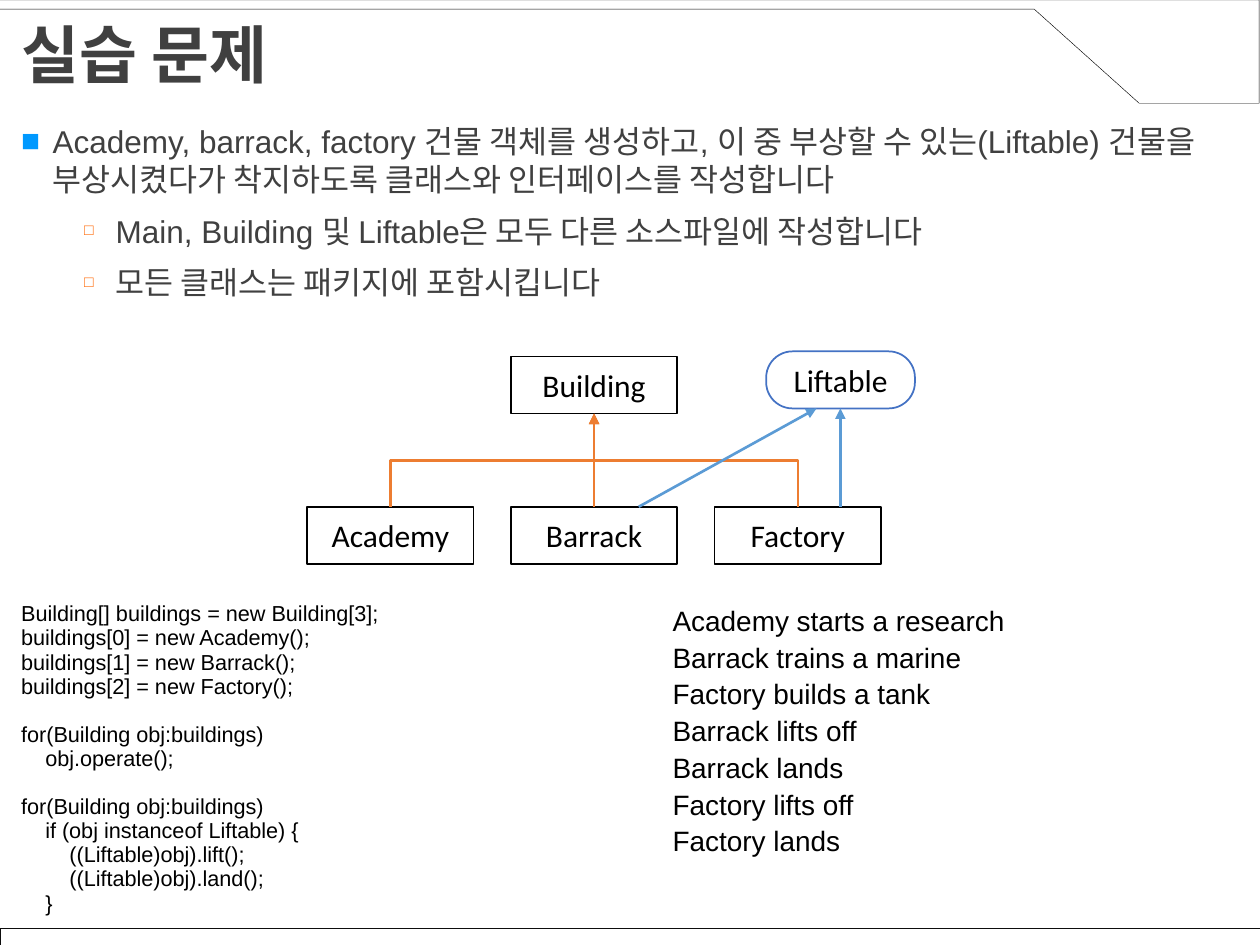
import pptx
import pptx.dml.color
import pptx.enum.shapes
import pptx.enum.text
import pptx.oxml
import pptx.oxml.ns
import pptx.util

Pt = pptx.util.Pt
qn = pptx.oxml.ns.qn
Kind = pptx.enum.shapes.MSO_SHAPE
Link = pptx.enum.shapes.MSO_CONNECTOR
Mid = pptx.enum.text.MSO_ANCHOR.MIDDLE
Center = pptx.enum.text.PP_ALIGN.CENTER


def color(code):
    """Turn a hex string into a colour."""
    return pptx.dml.color.RGBColor.from_string(code)


def node(parent, tag, **attrs):
    """Append one XML element with its attributes."""
    item = pptx.oxml.parse_xml(f'<{tag} {pptx.oxml.ns.nsdecls("a")}/>')
    for key, value in attrs.items():
        item.set(key, str(value))
    parent.append(item)
    return item


class Page:
    """The current slide and its style."""
    font, label = "Arial", "Calibri"
    ink, gray, white = "000000", "404040", "FFFFFF"

    def __init__(self, slide):
        """Keep the slide's shapes."""
        self.shapes = slide.shapes

    def paint(self, shape, line, width):
        """Give a shape a white fill and a plain outline."""
        shape.shadow.inherit = False
        shape.fill.solid()
        shape.fill.fore_color.rgb = color(self.white)
        shape.line.color.rgb = color(line)
        shape.line.width = Pt(width)

    def style(self, para, size, code, font, bold=False):
        """Format all runs of a paragraph."""
        for run in para.runs:
            run.font.size = Pt(size)
            run.font.name = font
            run.font.bold = bold
            run.font.color.rgb = color(code)

    def box(self, x, y, w, h, text="", line="000000", width=1,
            kind=Kind.RECTANGLE, round=None):
        """Draw an outlined box with a centred label."""
        shape = self.shapes.add_shape(kind, Pt(x), Pt(y), Pt(w), Pt(h))
        self.paint(shape, line, width)
        if round is not None:
            shape.adjustments[0] = round
        if text:
            frame = shape.text_frame
            frame.text = text
            frame.vertical_anchor = Mid
            frame.paragraphs[0].alignment = Center
            self.style(frame.paragraphs[0], 18, self.ink, self.label)

    def outline(self, points, width):
        """Draw a closed polygon."""
        start, *rest = [(Pt(x), Pt(y)) for x, y in points]
        form = self.shapes.build_freeform(*start, scale=1.0)
        form.add_line_segments(rest, close=True)
        self.paint(form.convert_to_shape(), self.ink, width)

    def text(self, x, y, w, h, lines, size, code=ink, bold=False,
             pitch=1.0, after=0, anchor=None):
        """Write (text, indent, space before) lines; return paragraphs."""
        shape = self.shapes.add_textbox(Pt(x), Pt(y), Pt(w), Pt(h))
        frame = shape.text_frame
        frame.word_wrap = True
        frame.vertical_anchor = anchor
        frame.text = "\n".join(line[0] for line in lines)
        for para, (_, indent, before) in zip(frame.paragraphs, lines):
            para.line_spacing = pitch
            para.space_before = Pt(before)
            para.space_after = Pt(after)
            para._p.get_or_add_pPr().set("marL", str(Pt(indent)))
            self.style(para, size, code, self.font, bold)
        return frame.paragraphs

    def bullet(self, para, mark, code, scale=100):
        """Hang a coloured bullet before a paragraph."""
        props = para._p.get_or_add_pPr()
        props.set("indent", str(Pt(-18)))
        node(node(props, "a:buClr"), "a:srgbClr", val=code)
        node(props, "a:buSzPct", val=scale * 1000)
        node(props, "a:buFont", typeface=self.font)
        node(props, "a:buChar", char=mark)

    def arrow(self, kind, x1, y1, x2, y2, code):
        """Draw a connector with a triangle at its end."""
        line = self.shapes.add_connector(kind, Pt(x1), Pt(y1), Pt(x2), Pt(y2))
        line.line.color.rgb = color(code)
        line.line.width = Pt(1.5)
        node(line.line._get_or_add_ln(), "a:tailEnd", type="triangle")
        props = line._element.spPr
        node(props, "a:effectLst")
        return props.find(qn("a:xfrm"))

    def climb(self, x1, y1, x2, y2, code):
        """Draw an elbow arrow that leaves and arrives upright."""
        mid_x, mid_y = (x1 + x2) / 2, (y1 + y2) / 2
        run, rise = (x1 - x2) / 2, (y1 - y2) / 2
        frame = self.arrow(Link.ELBOW, mid_x - rise, mid_y + run,
                           mid_x + rise, mid_y - run, code)
        frame.set("rot", str(270 * 60000))


deck = pptx.Presentation()
deck.slide_width, deck.slide_height = Pt(720), Pt(540)
page = Page(deck.slides.add_slide(deck.slide_layouts[6]))

# Frame and title
page.box(0, 530.6, 720, 9.4, line="0D0D0D", width=0.25)
page.outline([(-0.5, 0), (719.5, 0), (719.5, 59), (651, 59),
              (591, 5.2), (-0.5, 5.2)], 0.25)
page.text(5, 7.2, 620.6, 51.8, [("실습 문제", 0, 0)], 36, page.gray,
          bold=True, pitch=0.9, anchor=Mid)

# Task
tasks = [
    ("Academy, barrack, factory 건물 객체를 생성하고, 이 중 부상할 수 있는(Liftable) "
     "건물을 부상시켰다가 착지하도록 클래스와 인터페이스를 작성합니다", 18, 10),
    ("Main, Building 및 Liftable은 모두 다른 소스파일에 작성합니다", 54, 5),
    ("모든 클래스는 패키지에 포함시킵니다", 54, 5),
]
head, *subs = page.text(5, 66.2, 709.2, 160, tasks, 18, page.gray, after=3)
page.bullet(head, "■", "0099FF")
for sub in subs:
    page.bullet(sub, "□", "FF6600", 50)

# Program output and code
output = ["Academy starts a research", "Barrack trains a marine",
          "Factory builds a tank", "Barrack lifts off", "Barrack lands",
          "Factory lifts off", "Factory lands"]
page.text(377.3, 343.4, 335.5, 181.4, [(line, 0, 0) for line in output],
          16, pitch=0.9, after=3.75)

tab, gap = 13.8, 13.4
code = [
    ("Building[] buildings = new Building[3];", 0, 0),
    ("buildings[0] = new Academy();", 0, 0),
    ("buildings[1] = new Barrack();", 0, 0),
    ("buildings[2] = new Factory();", 0, 0),
    ("for(Building obj:buildings)", 0, gap),
    ("obj.operate();", tab, 0),
    ("for(Building obj:buildings)", 0, gap),
    ("if (obj instanceof Liftable) {", tab, 0),
    ("((Liftable)obj).lift();", 2 * tab, 0),
    ("((Liftable)obj).land();", 2 * tab, 0),
    ("}", tab, 0),
]
page.text(5, 343.4, 373, 181.4, code, 12.4, pitch=0.7, after=3.45)

# Class diagram
wide, high, left, step = 95.2, 32.6, 175.5, 116.4
top, low = 203.8, 289.6
root = left + step + wide / 2
page.box(left + step, top, wide, high, "Building")
for col, name in enumerate(["Academy", "Barrack", "Factory"]):
    x = left + col * step
    page.box(x, low, wide, high, name)
    page.climb(x + wide / 2, low, root, top + high, "ED7D31")
page.box(437.8, 200.8, 85, high, "Liftable", "4472C4",
         kind=Kind.ROUNDED_RECTANGLE, round=0.46)
for start, end in [(365, 466.6), (480.2, 480.2)]:
    page.arrow(Link.STRAIGHT, start, low, end, 200.8 + high, "5B9BD5")

deck.save("out.pptx")
